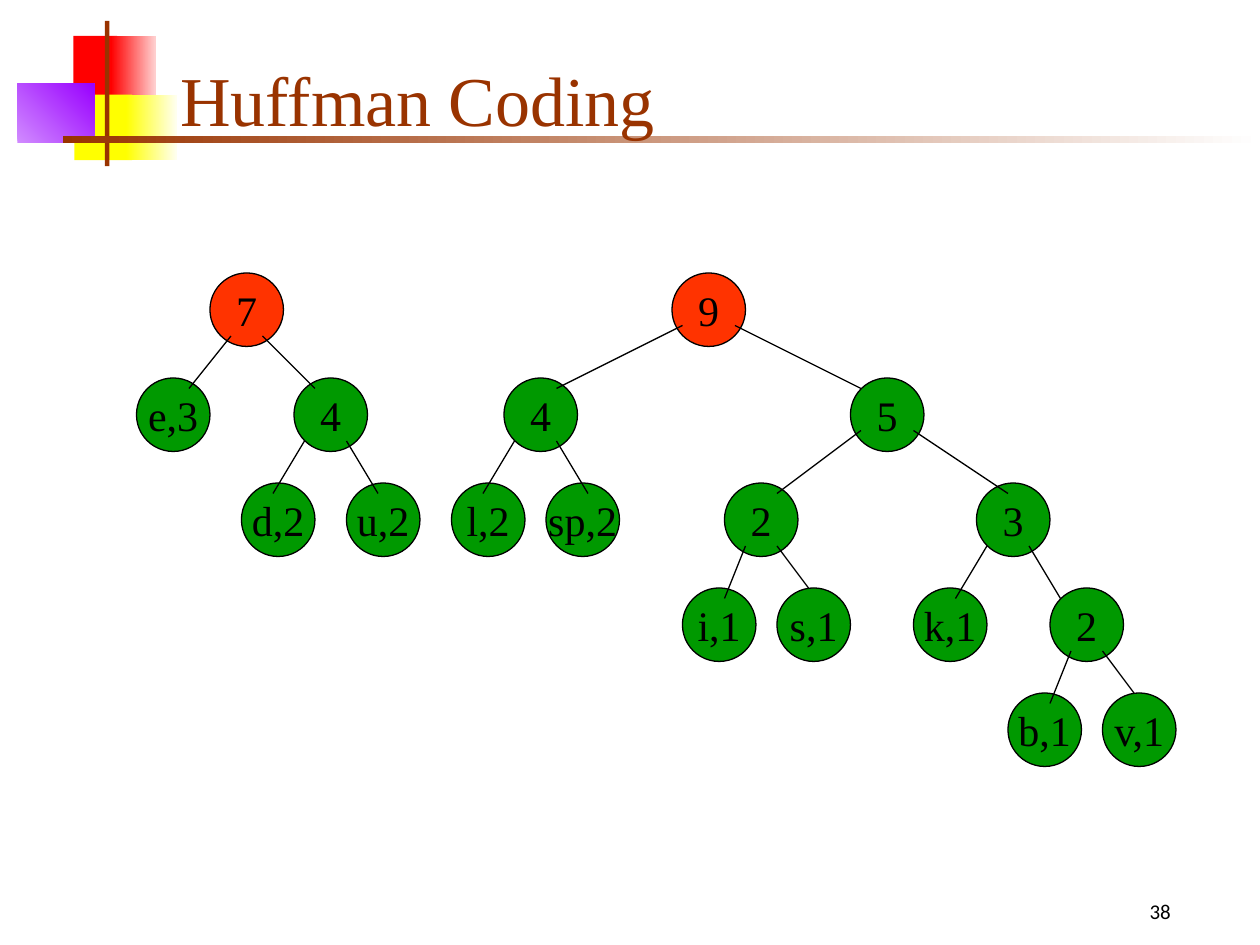
from dataclasses import dataclass
from lxml import etree
from pptx import Presentation
from pptx import util as u
from pptx.dml.color import RGBColor
from pptx.enum import shapes, text
from pptx.oxml.ns import qn

Pt = u.Pt


@dataclass(frozen=True)
class Theme:
    red: str = "FF0000"
    pink: str = "FFD1D1"
    yellow: str = "FFFF00"
    cream: str = "FFFFF0"
    lilac: str = "D18BFF"
    purple: str = "9900FF"
    brown: str = "993300"
    white: str = "FFFFFF"
    black: str = "000000"
    root: str = "FF3300"
    node: str = "009900"
    serif: str = "Times New Roman"
    sans: str = "Calibri"
    title_size: float = 40
    node_size: float = 24
    number_size: float = 12
    line: float = 0.74


class Deck:
    def __init__(self, theme, width, height):
        self.t = theme
        self.prs = Presentation()
        self.prs.slide_width, self.prs.slide_height = Pt(width), Pt(height)
        self.s = self.prs.slides.add_slide(self.prs.slide_layouts[6])

    def shape(self, kind, box, *colors, angle=0, line=None):
        """One colour gives a solid fill, two give a gradient."""
        sp = self.s.shapes.add_shape(kind, *map(Pt, box))
        sp.shadow.inherit = False
        if len(colors) == 1:
            sp.fill.solid()
            sp.fill.fore_color.rgb = RGBColor.from_string(colors[0])
        else:
            sp.fill.gradient()
            sp.fill.gradient_angle = angle
            for stop, color in zip(sp.fill.gradient_stops, colors):
                stop.color.rgb = RGBColor.from_string(color)
        if line:
            self.stroke(sp.line, line)
        else:
            sp.line.fill.background()
        return sp

    def stroke(self, line, color):
        line.color.rgb = RGBColor.from_string(color)
        line.width = Pt(self.t.line)

    def put_text(self, sp, words, color, font, frame, para):
        tf = sp.text_frame
        p = tf.paragraphs[0]
        r = p.add_run()
        r.text = words
        for obj, values in ((tf, frame), (p, para), (r.font, font)):
            for key, value in values.items():
                setattr(obj, key, value)
        r.font.color.rgb = RGBColor.from_string(color)

    def label(self, box, words, color, font, frame, para):
        sp = self.s.shapes.add_textbox(*map(Pt, box))
        self.put_text(sp, words, color, font, {"word_wrap": True, **frame}, para)

    def circle(self, x, y, words, fill):
        sp = self.shape(shapes.MSO_SHAPE.OVAL, (x, y, SIZE, SIZE), fill, line=self.t.black)
        self.put_text(sp, words, self.t.black,
                      {"name": self.t.serif, "size": Pt(self.t.node_size)},
                      {"word_wrap": False, "vertical_anchor": text.MSO_ANCHOR.MIDDLE},
                      {"alignment": text.PP_ALIGN.CENTER})

    def edge(self, *ends):
        c = self.s.shapes.add_connector(shapes.MSO_CONNECTOR.STRAIGHT, *map(Pt, ends))
        self.stroke(c.line, self.t.black)
        etree.SubElement(c._element.spPr, qn("a:effectLst"))

    def tree(self, node, level=0):
        """Draw the subtrees, then the node, then its edges on top."""
        words, x, *links = node
        y = TOP + level * STEP
        for _, _, child in links:
            self.tree(child, level + 1)
        self.circle(x, y, words, self.t.node if level else self.t.root)
        for (x1, y1), (x2, y2), child in links:
            self.edge(x + x1, y + y1, child[1] + x2, y + STEP + y2)


t = Theme()
deck = Deck(t, 720, 540)
RECT = shapes.MSO_SHAPE.RECTANGLE

# Corner ornament and title rule
for box, colors, angle in (
    ((42, 20.5, 25, 37.5), (t.red,), 0),
    ((63.5, 20.5, 25.5, 37.5), (t.red, t.pink), 0),
    ((42.5, 54, 33, 37.5), (t.yellow,), 0),
    ((72, 54, 29, 37.5), (t.yellow, t.cream), 0),
    ((10, 48, 44, 33.5), (t.lilac, t.purple), 45),
    ((60, 12, 2.5, 83), (t.brown,), 0),
    ((36, 78, 684, 3.75), (t.brown, t.white), 0),
):
    deck.shape(RECT, box, *colors, angle=angle)

# Page number and title
deck.label((624, 510, 78, 24), "38", t.black,
           {"name": t.sans, "size": Pt(t.number_size)}, {},
           {"alignment": text.PP_ALIGN.CENTER, "space_before": Pt(7.5)})
deck.label((96, 18, 613.5, 66), "Huffman Coding", t.brown,
           {"name": t.serif, "size": Pt(t.title_size)},
           {"vertical_anchor": text.MSO_ANCHOR.BOTTOM}, {})

# Trees: (label, left, *links); a link is (offset in parent, offset in child, child)
SIZE, TOP, STEP = 42, 156, 60
LEFT, INNER, RIGHT = (6, 36), (12, 36), (30, 36)
WIDE_LEFT, WIDE_RIGHT = (6, 30), (36, 30)

seven = ("7", 120,
         (INNER, (30, 6), ("e,3", 78)),
         (RIGHT, (12, 6), ("4", 168,
                           (LEFT, (18, 6), ("d,2", 138)),
                           (RIGHT, (18, 6), ("u,2", 198)))))
four = ("4", 288,
        (LEFT, (18, 6), ("l,2", 258)),
        (RIGHT, (24, 6), ("sp,2", 312)))


def pair(x, first, second):
    return ("2", x,
            (INNER, (24, 6), (first, x - 24)),
            (RIGHT, (18, 0), (second, x + 30)))


three = ("3", 558,
         (LEFT, (24, 6), ("k,1", 522)),
         (RIGHT, (6, 6), pair(600, "b,1", "v,1")))
five = ("5", 486,
        (WIDE_LEFT, (30, 6), pair(414, "i,1", "s,1")),
        (WIDE_RIGHT, (18, 6), three))
nine = ("9", 384,
        (WIDE_LEFT, (30, 6), four),
        (WIDE_RIGHT, (6, 6), five))

for root in (seven, nine):
    deck.tree(root)

deck.prs.save("out.pptx")
